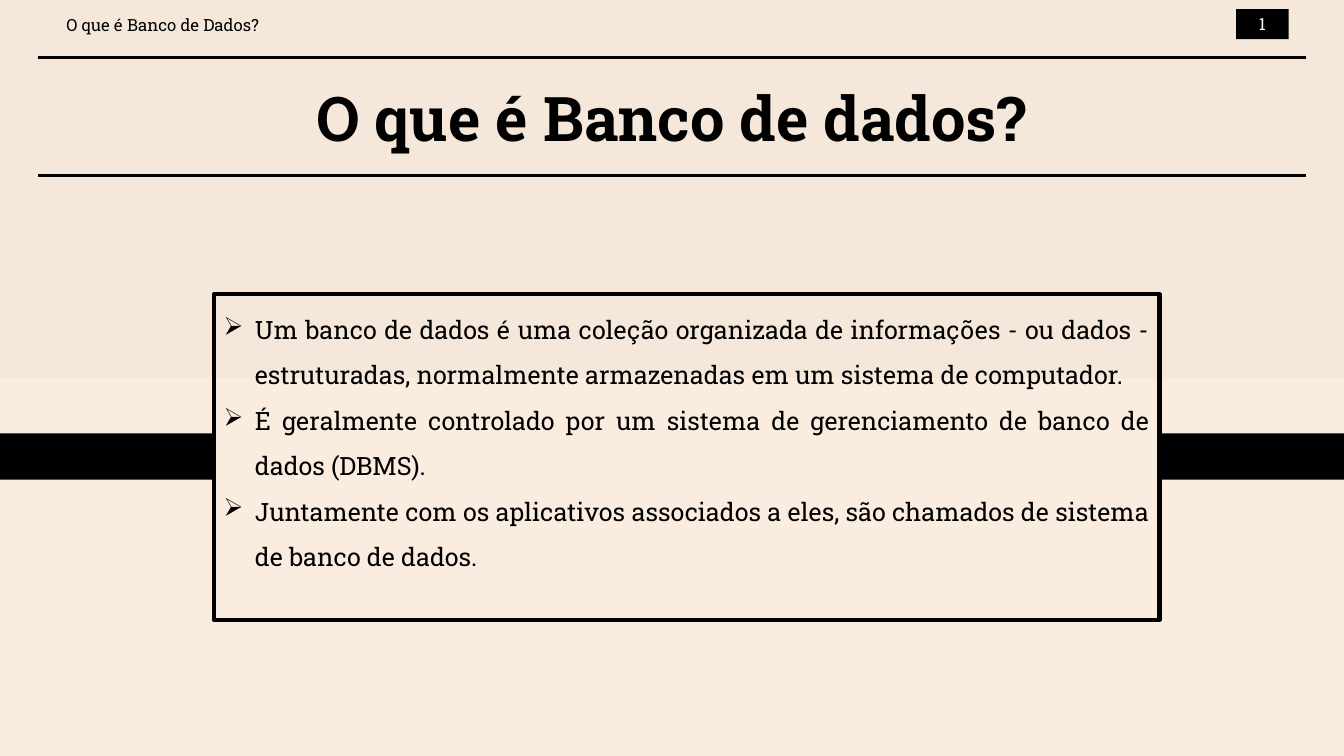
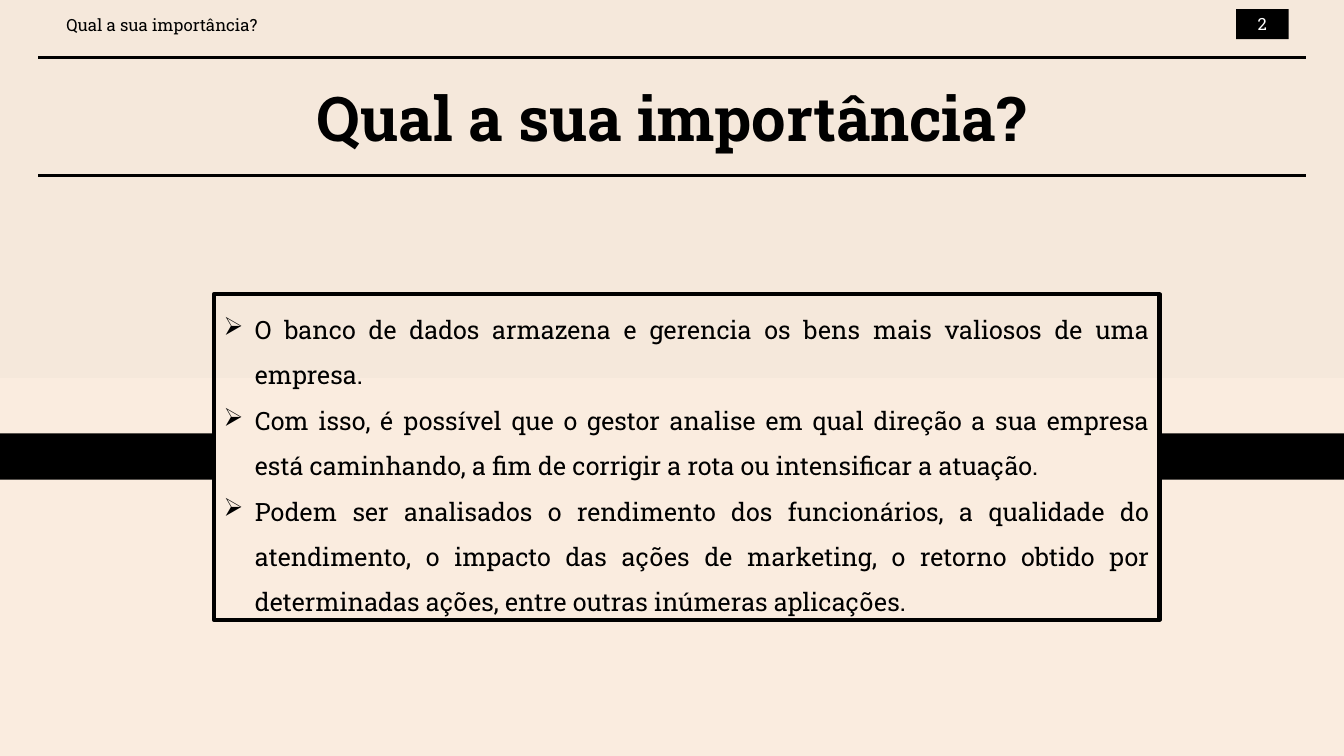
from dataclasses import dataclass

import pptx
import pptx.dml.color
import pptx.enum.shapes
import pptx.enum.text
import pptx.util
from lxml import etree
from pptx.oxml.ns import qn

Inches = pptx.util.Inches
Pt = pptx.util.Pt
Align = pptx.enum.text.PP_ALIGN

COLORS = {"ink": "000000", "paper": "FFFFFF", "sky": "F5E8DB", "ground": "FAECDF"}
FONT = "Roboto Slab"
SLIDE_WIDTH, SLIDE_HEIGHT = 13.33, 7.5
RULE_LEFT, RULE_RIGHT = 0.38, 12.95
RULE_HEIGHTS = (0.57, 1.74)
PANEL_LEFT, PANEL_RIGHT = 2.12, 11.5
BULLET_INDENT = 0.31


@dataclass(frozen=True)
class Box:
    left: float
    top: float
    width: float
    height: float

    def lengths(self) -> tuple:
        return tuple(Inches(v) for v in (self.left, self.top, self.width, self.height))


@dataclass(frozen=True)
class TextStyle:
    size: int
    color: str = "ink"
    bold: bool = False
    align: Align = Align.LEFT


@dataclass(frozen=True)
class Topic:
    header: str
    title: str
    title_width: float
    points: tuple[str, ...]


HEADER_BOX = Box(0.56, 0.1, 2.36, 0.3)
NUMBER_BOX = Box(12.26, 0.09, 0.52, 0.3)
PANEL_BOX = Box(PANEL_LEFT, 2.92, PANEL_RIGHT - PANEL_LEFT, 3.23)
BAND_BOXES = (
    Box(0, 4.3, PANEL_LEFT, 0.46),
    Box(PANEL_RIGHT, 4.3, SLIDE_WIDTH - PANEL_RIGHT, 0.46),
)

HEADER_STYLE = TextStyle(12)
NUMBER_STYLE = TextStyle(12, color="paper", align=Align.CENTER)
TITLE_STYLE = TextStyle(44, bold=True, align=Align.CENTER)
POINT_STYLE = TextStyle(18, align=Align.JUSTIFY)

TOPICS = (
    Topic(
        "O que é Banco de Dados?",
        "O que é Banco de dados?",
        9.08,
        (
            "Um banco de dados é uma coleção organizada de informações - ou dados - "
            "estruturadas, normalmente armazenadas em um sistema de computador.",
            "É geralmente controlado por um sistema de gerenciamento de banco de "
            "dados (DBMS).",
            "Juntamente com os aplicativos associados a eles, são chamados de sistema "
            "de banco de dados.",
        ),
    ),
    Topic(
        "Qual a sua importância?",
        "Qual a sua importância?",
        9.76,
        (
            "O banco de dados armazena e gerencia os bens mais valiosos de uma empresa.",
            "Com isso, é possível que o gestor analise em qual direção a sua empresa "
            "está caminhando, a fim de corrigir a rota ou intensificar a atuação.",
            "Podem ser analisados o rendimento dos funcionários, a qualidade do "
            "atendimento, o impacto das ações de marketing, o retorno obtido por "
            "determinadas ações, entre outras inúmeras aplicações.",
        ),
    ),
)


def rgb(name: str) -> pptx.dml.color.RGBColor:
    return pptx.dml.color.RGBColor.from_string(COLORS[name])


def paint_background(master) -> None:
    fill = master.background.fill
    fill.gradient()
    fill.gradient_angle = 270
    for stop, name in zip(fill.gradient_stops, ("sky", "ground")):
        stop.color.rgb = rgb(name)


def add_rule(slide, height: float) -> None:
    rule = slide.shapes.add_connector(
        pptx.enum.shapes.MSO_CONNECTOR.STRAIGHT,
        Inches(RULE_LEFT), Inches(height), Inches(RULE_RIGHT), Inches(height),
    )
    rule.line.color.rgb = rgb("ink")
    rule.line.width = Pt(2.25)
    etree.SubElement(rule._element.spPr, qn("a:effectLst"))


def add_rectangle(slide, box: Box, filled: bool = True):
    rectangle = slide.shapes.add_shape(
        pptx.enum.shapes.MSO_SHAPE.RECTANGLE, *box.lengths()
    )
    rectangle.shadow.inherit = False
    if filled:
        rectangle.fill.solid()
        rectangle.fill.fore_color.rgb = rgb("ink")
        rectangle.line.fill.background()
    else:
        rectangle.fill.background()
        rectangle.line.color.rgb = rgb("ink")
        rectangle.line.width = Pt(3)
    return rectangle


def add_bullet(paragraph) -> None:
    paragraph.line_spacing = 1.5
    properties = paragraph._p.get_or_add_pPr()
    properties.set("marL", str(Inches(BULLET_INDENT)))
    properties.set("indent", str(-Inches(BULLET_INDENT)))
    etree.SubElement(properties, qn("a:buChar")).set("char", "➢")


def write(shape, lines: tuple[str, ...], style: TextStyle, bulleted: bool = False) -> None:
    frame = shape.text_frame
    frame.word_wrap = True
    frame.vertical_anchor = pptx.enum.text.MSO_ANCHOR.TOP
    frame.text = "\n".join(lines)
    for paragraph in frame.paragraphs:
        paragraph.alignment = style.align
        if bulleted:
            add_bullet(paragraph)
        paragraph.font.name = FONT
        paragraph.font.size = Pt(style.size)
        paragraph.font.bold = style.bold
        paragraph.font.color.rgb = rgb(style.color)


def add_text(slide, box: Box, text: str, style: TextStyle) -> None:
    write(slide.shapes.add_textbox(*box.lengths()), (text,), style)


def add_topic(deck, number: int, topic: Topic) -> None:
    slide = deck.slides.add_slide(deck.slide_layouts[6])
    for height in RULE_HEIGHTS:
        add_rule(slide, height)
    title_left = (SLIDE_WIDTH - topic.title_width) / 2
    add_text(slide, Box(title_left, 0.74, topic.title_width, 0.84), topic.title, TITLE_STYLE)
    panel = add_rectangle(slide, PANEL_BOX, filled=False)
    write(panel, topic.points, POINT_STYLE, bulleted=True)
    for band in BAND_BOXES:
        add_rectangle(slide, band)
    write(add_rectangle(slide, NUMBER_BOX), (str(number),), NUMBER_STYLE)
    add_text(slide, HEADER_BOX, topic.header, HEADER_STYLE)


def main() -> None:
    deck = pptx.Presentation()
    deck.slide_width = Inches(SLIDE_WIDTH)
    deck.slide_height = Inches(SLIDE_HEIGHT)
    paint_background(deck.slide_master)
    for number, topic in enumerate(TOPICS, start=1):
        add_topic(deck, number, topic)
    deck.save("out.pptx")


if __name__ == "__main__":
    main()
